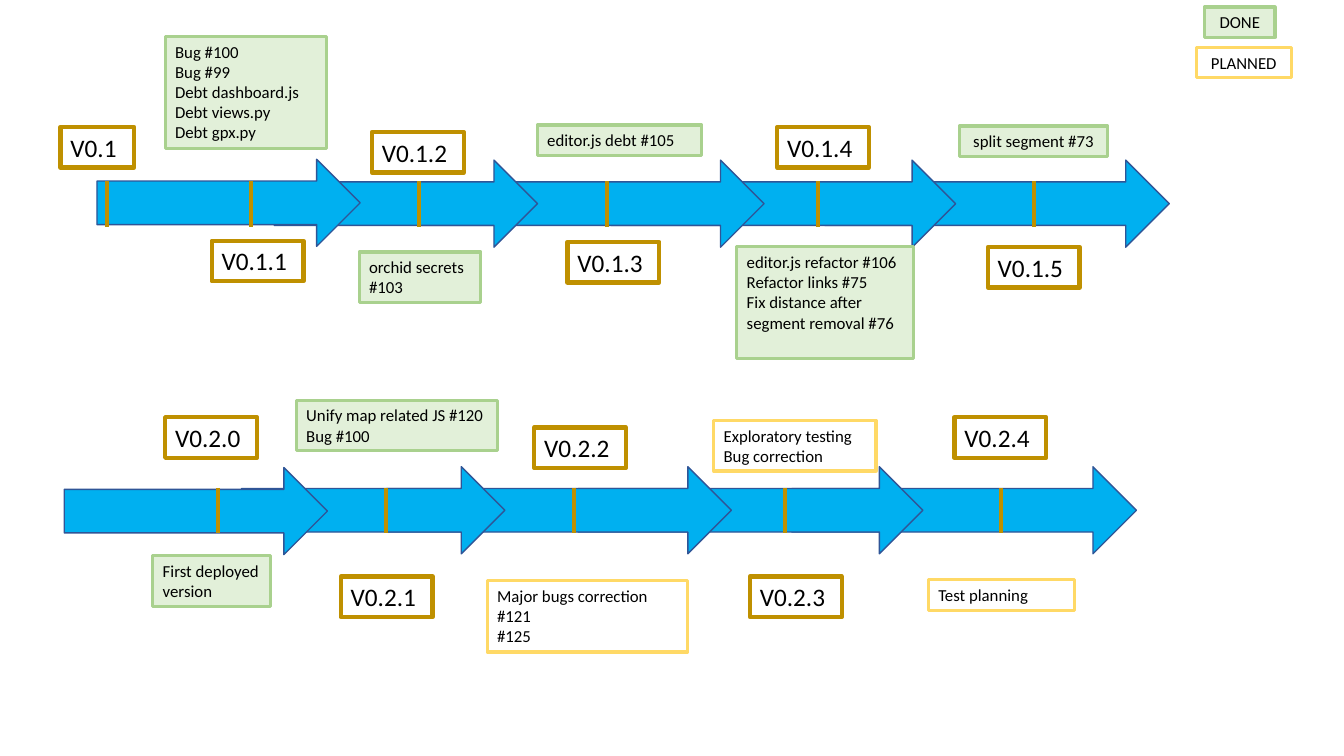
import pptx
import pptx.util
import pptx.dml.color
import pptx.enum.shapes
import pptx.enum.text
import lxml.etree

Pt = pptx.util.Pt
RGB = pptx.dml.color.RGBColor.from_string
CENTER = pptx.enum.text.PP_ALIGN.CENTER
LEFT = pptx.enum.text.PP_ALIGN.LEFT

# Box styles: fill, line, line width, type size
THEME = {
    "font": "Calibri", "text": "000000",
    "arrow": "00B0F0", "arrow_line": "2F5597", "tick": "BF9000",
    "version": (None, "BF9000", 3, 18),
    "done": ("E2F0D9", "A9D18E", 2.25, 12),
    "planned": (None, "FFD966", 2.25, 12),
}

prs = pptx.Presentation()
prs.slide_width, prs.slide_height = Pt(960), Pt(540)
s = prs.slides.add_slide(prs.slide_layouts[6])


def add_box(style, x, y, w, h, lines, align=LEFT):
    """Add a bordered text box in one of the theme's box styles."""
    fill, line, weight, size = THEME[style]
    sp = s.shapes.add_textbox(Pt(x), Pt(y), Pt(w), Pt(h))
    if fill:
        sp.fill.solid()
        sp.fill.fore_color.rgb = RGB(fill)
    sp.line.color.rgb = RGB(line)
    sp.line.width = Pt(weight)
    tf = sp.text_frame
    tf.word_wrap = True
    tf.text = "\n".join(lines)
    for p in tf.paragraphs:
        p.alignment = align
        p.font.name = THEME["font"]
        p.font.size = Pt(size)
        p.font.color.rgb = RGB(THEME["text"])


def add_timeline(dx, dy, first_dy, ticks):
    """Add a chain of overlapping arrows, rightmost at the back, and its ticks."""
    arrows = [(589, 0, 246.2), (436.4, 0, 246.2), (299.6, 0, 246.2),
              (196, 0, 188), (69.3, first_dy, 188)]
    for x, y, w in arrows:
        sp = s.shapes.add_shape(pptx.enum.shapes.MSO_SHAPE.RIGHT_ARROW,
                                Pt(x + dx), Pt(114.4 + y + dy), Pt(w), Pt(62.2))
        sp.shadow.inherit = False
        sp.fill.solid()
        sp.fill.fore_color.rgb = RGB(THEME["arrow"])
        sp.line.color.rgb = RGB(THEME["arrow_line"])
        sp.line.width = Pt(1)
    for x in ticks:
        cx = s.shapes.add_connector(pptx.enum.shapes.MSO_CONNECTOR.STRAIGHT,
                                    Pt(x + dx), Pt(129.5 + dy), Pt(x + dx), Pt(162 + dy))
        cx.line.color.rgb = RGB(THEME["tick"])
        cx.line.width = Pt(3)
        lxml.etree.SubElement(cx._element.spPr, pptx.oxml.ns.qn("a:effectLst"))


release_ticks = [179.2, 299.4, 433.6, 584.4, 738.6]
add_timeline(0, 0, -0.6, [76.2] + release_ticks)
add_timeline(-23.4, 219, 0.6, release_ticks)

versions = [
    ("V0.1", 43.2, 90.7), ("V0.1.1", 151.2, 172), ("V0.1.2", 265.7, 94.3),
    ("V0.1.3", 405.4, 172.8), ("V0.1.4", 555.1, 90.7), ("V0.1.5", 705.6, 176.4),
    ("V0.2.0", 118, 298), ("V0.2.1", 243.4, 411.8), ("V0.2.2", 381.6, 305.3),
    ("V0.2.3", 535.7, 411.8), ("V0.2.4", 681.8, 298),
]
for name, x, y in versions:
    add_box("version", x, y, 52.6 if name == "V0.1" else 65.6, 29, [name])

notes = [
    ("done", 118, 26, 115.2, 80, ["Bug #100", "Bug #99", "Debt dashboard.js",
                                  "Debt views.py", "Debt gpx.py"]),
    ("done", 256.5, 180, 87, 36.3, ["orchid secrets #103"]),
    ("done", 383.8, 89.3, 117.4, 21.8, ["editor.js debt #105"]),
    ("done", 526.3, 176.4, 126, 80, ["editor.js refactor #106", "Refactor links #75",
                                     "Fix distance after segment removal #76"]),
    ("done", 685.4, 90, 105.8, 21.8, ["split segment #73"], CENTER),
    ("done", 109.2, 396.7, 83.8, 36.3, ["First deployed version"]),
    ("done", 211.7, 285.8, 143.5, 36.3, ["Unify map related JS #120", "Bug #100"]),
    ("planned", 348, 414.7, 143.3, 51, ["Major bugs correction", "#121", "#125"]),
    ("planned", 509.8, 300.2, 116, 36.3, ["Exploratory testing", "Bug correction"]),
    ("planned", 663.1, 414, 104.4, 21.8, ["Test planning"]),
    # Legend
    ("done", 860.4, 5, 50.4, 21.8, ["DONE"], CENTER),
    ("planned", 854.6, 33.8, 67.7, 21.8, ["PLANNED"], CENTER),
]
for note in notes:
    add_box(*note)

prs.save("out.pptx")
